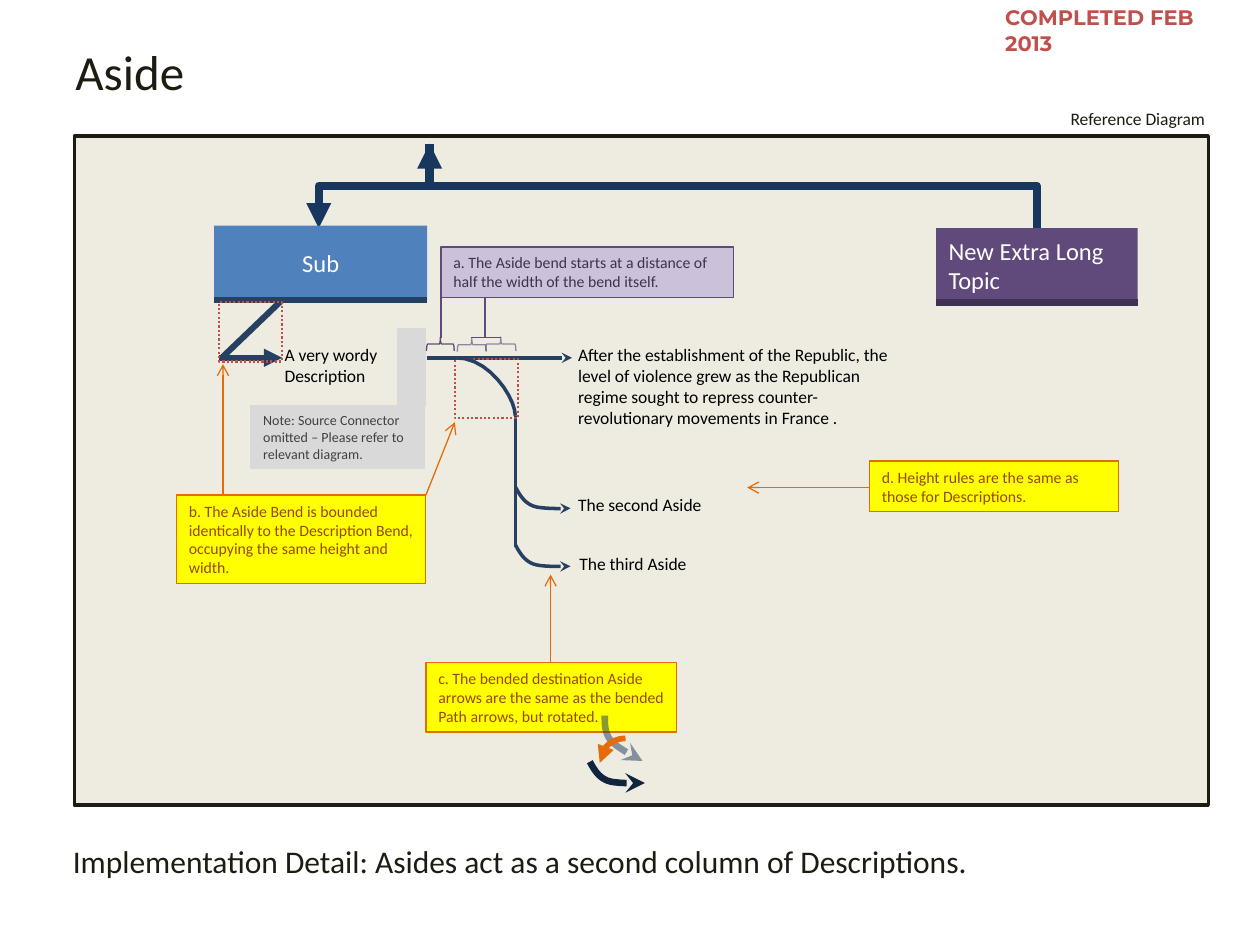
"""Build the Aside reference diagram on a grid of 100 columns by 75 rows."""
import pptx
import pptx.util
import pptx.dml.color
import pptx.enum.dml
import pptx.enum.shapes
import pptx.enum.text
import pptx.oxml.ns
import lxml.etree

Pt = pptx.util.Pt
Kind = pptx.enum.shapes.MSO_SHAPE
Link = pptx.enum.shapes.MSO_CONNECTOR
Align = pptx.enum.text.PP_ALIGN
Anchor = pptx.enum.text.MSO_ANCHOR
qn = pptx.oxml.ns.qn

HUES = {
    "ink": "1E1C11", "black": "000000", "white": "FFFFFF", "sand": "EEECE1",
    "navy": "17375E", "blue": "4F81BD", "deep": "254061", "night": "10243E",
    "plum": "604A7B", "dusk": "403152", "lilac": "CCC1DA", "red": "C0504D",
    "yellow": "FFFF00", "orange": "E46C0A", "brown": "984807",
    "grey": "D9D9D9", "slate": "404040",
}
COLS, ROWS = 100, 75
WIDE, HIGH = pptx.util.Inches(10), pptx.util.Inches(7.5)

FRAME = (5.9, 10.8, 90, 53.1)
LABELS = [
    ("Aside", (5, 3, 90.9, 5.3), 28, "ink", {"mid": True}),
    ("Reference Diagram", (80.9, 8.1, 15.7, 2.7), 10, "ink", {"align": Align.RIGHT}),
    ("A very wordy Description", (21.6, 26.8, 14.1, 4.6), 10, "black", {}),
    ("After the establishment of the Republic, the level of violence grew as the "
     "Republican regime sought to repress counter-revolutionary movements in France .",
     (44.9, 26.8, 26.7, 15.1), 10, "black", {}),
    ("The second Aside", (44.9, 38.7, 13.9, 3.3), 10, "black", {}),
    ("The third Aside", (45, 43.4, 13.9, 4.3), 10, "black", {}),
    ("Implementation Detail: Asides act as a second column of Descriptions.",
     (4.8, 66.3, 90, 4), 18, "ink", {}),
    ("COMPLETED FEB 2013", (78.8, -0.1, 19.6, 3), 12, "red",
     {"face": "Montserrat", "bold": True}),
]
TOPICS = [
    ("New Extra Long Topic", (74.3, 18.1, 16, 5.9), "plum", "dusk", Align.LEFT),
    ("Sub", (17, 17.9, 16.9, 5.9), "blue", "deep", Align.CENTER),
]
STYLES = {
    "rule": ("yellow", "orange", "brown", 9),
    "hint": ("lilac", "plum", "dusk", 9),
    "note": ("grey", "grey", "slate", 8),
}
NOTES = [
    ("b. The Aside Bend is bounded identically to the Description Bend, "
     "occupying the same height and width.", (14, 39.3, 19.8, 7), "rule"),
    ("a. The Aside bend starts at a distance of half the width of the bend itself.",
     (35, 19.6, 23.2, 4), "hint"),
    ("d. Height rules are the same as those for Descriptions.",
     (69, 36.6, 19.8, 4), "rule"),
    ("c. The bended destination Aside arrows are the same as the bended Path "
     "arrows, but rotated.", (33.8, 52.6, 19.9, 5.5), "rule"),
    ("Note: Source Connector omitted – Please refer to relevant diagram.",
     (19.9, 32.2, 13.8, 5), "note"),
]
POST = (31.6, 26.1, 2.2, 6.1)
BOUNDS = [(17.4, 24, 5, 4.7), (36.1, 28.5, 5, 4.7)]
BRACES = [((34.4, 26.2, 1.1, 2.2), None), ((36.9, 26.2, 1.1, 2.3), 63),
          ((39.2, 26.1, 1.1, 2.4), 63)]
ELBOWS = [((34.1, 11.4), (25.3, 18.1)), ((82.3, 18.1), (34.1, 11.4))]
LINES = [
    ("deep", 3.5, None, [(22.4, 23.8, 17.6, 28.4)]),
    ("deep", 3.5, "triangle", [(17.4, 28.4, 22.4, 28.4)]),
    ("orange", 0.75, "arrow", [(33.8, 39.3, 36.1, 33.5), (17.7, 39.3, 17.7, 28.9),
                               (69, 38.7, 59.3, 38.7), (43.7, 52.6, 43.7, 45.6)]),
    ("plum", 0.75, None, [(35, 26.8, 35, 23.6), (38.5, 26.8, 38.5, 23.6),
                          (39.8, 26.8, 37.4, 26.8)]),
    ("deep", 2, "stealth", [(40.6, 28.4, 45.4, 28.4)]),
    ("deep", 2, None, [(40.8, 28.4, 33.9, 28.4), (40.9, 33, 40.9, 43.4)]),
]
BEND = [(0, 0), (2.7, -0.1), (4.8, 3.2), (4.8, 4.6)]
HOOK = [(0, 0), (0, 0.7), (0, 1.4), (0.5, 2), (1, 2.6), (3, 3.6), (3, 3.6)]
TURN = 330.9
CURVES = [
    (BEND, (36.1, 28.4), 0, "deep", 2, None, None),
    (HOOK, (41.6, 37.7), TURN, "deep", 2, "stealth", None),
    (HOOK, (41.6, 42.3), TURN, "deep", 2, "stealth", None),
    (HOOK, (48, 56.8), 0, "deep", 3.75, "stealth", 52),
    (HOOK, (47.5, 59.5), TURN, "night", 3.75, "stealth", None),
]
SPIN = (47.6, 58.6, 4.1, 3.9)

deck = pptx.Presentation()
deck.slide_width, deck.slide_height = WIDE, HIGH
slide = deck.slides.add_slide(deck.slide_layouts[6])
items = slide.shapes


def hue(name):
    return pptx.dml.color.RGBColor.from_string(HUES[name])


def grid(vals):
    return [round(v * (HIGH / ROWS if i % 2 else WIDE / COLS)) for i, v in enumerate(vals)]


def pen(item, tint, width, tail=None, alpha=None):
    item.line.color.rgb = hue(tint)
    item.line.width = Pt(width)
    edge = item.element.spPr.find(qn("a:ln"))
    if alpha:
        tone = edge.find(".//" + qn("a:srgbClr"))
        lxml.etree.SubElement(tone, qn("a:alpha"), val=str(alpha * 1000))
    if tail:
        lxml.etree.SubElement(edge, qn("a:tailEnd"), type=tail)


def shape(kind, area, fill=None):
    item = items.add_shape(kind, *grid(area))
    item.shadow.inherit = False
    if fill:
        item.fill.solid()
        item.fill.fore_color.rgb = hue(fill)
    else:
        item.fill.background()
    return item


def write(item, words, size, tint, align=Align.LEFT, mid=False, face="Calibri", bold=False):
    box = item.text_frame
    box.word_wrap = True
    box.vertical_anchor = Anchor.MIDDLE if mid else Anchor.TOP
    para = box.paragraphs[0]
    para.text, para.alignment = words, align
    font = para.font
    font.name, font.size, font.bold = face, Pt(size), bold
    font.color.rgb = hue(tint)


def link(ends, tint, width, tail=None, kind=Link.STRAIGHT):
    item = items.add_connector(kind, *grid(ends))
    pen(item, tint, width, tail)
    lxml.etree.SubElement(item.element.spPr, qn("a:effectLst"))
    return item


def elbow(start, end):
    midx, midy = (start[0] + end[0]) / 2, (start[1] + end[1]) / 2
    ends = [v for x, y in (start, end) for v in (midx + y - midy, midy - x + midx)]
    item = link(ends, "navy", 4.75, "triangle", Link.ELBOW)
    item.element.spPr.find(qn("a:xfrm")).set("rot", str(90 * 60000))


def curve(knots, spot, turn, tint, width, tail, alpha, steps=10):
    dots = []
    for at in range(0, len(knots) - 1, 3):
        for step in range(1, steps + 1):
            t = step / steps
            mix = ((1 - t) ** 3, 3 * t * (1 - t) ** 2, 3 * t * t * (1 - t), t ** 3)
            dots.append(grid([spot[k] + sum(m * p[k] for m, p in zip(mix, knots[at:at + 4]))
                              for k in (0, 1)]))
    path = items.build_freeform(*grid(spot))
    path.add_line_segments(dots, close=False)
    item = path.convert_to_shape()
    item.shadow.inherit = False
    item.fill.background()
    item.rotation = turn
    pen(item, tint, width, tail, alpha)


pen(shape(Kind.RECTANGLE, FRAME, "sand"), "ink", 2)
for ends in ELBOWS:
    elbow(*ends)
for words, area, fill, base, align in TOPICS:
    item = shape(Kind.RECTANGLE, area, fill)
    item.line.fill.background()
    write(item, words, 14, "white", align, True)
    left, top, wide, high = area
    link((left, top + high, left + wide, top + high), base, 3.75)
pen(shape(Kind.RECTANGLE, POST, "grey"), "grey", 0.75)
for words, area, style in NOTES:
    fill, edge, tint, size = STYLES[style]
    item = shape(Kind.RECTANGLE, area, fill)
    pen(item, edge, 0)
    write(item, words, size, tint)
for words, area, size, tint, more in LABELS:
    write(items.add_textbox(*grid(area)), words, size, tint, **more)
for tint, width, tail, group in LINES:
    for ends in group:
        link(ends, tint, width, tail)
for area in BOUNDS:
    item = shape(Kind.RECTANGLE, area)
    pen(item, "red", 1.25)
    item.line.dash_style = pptx.enum.dml.MSO_LINE.ROUND_DOT
for area, alpha in BRACES:
    item = shape(Kind.RIGHT_BRACE, area)
    item.rotation = 270
    pen(item, "plum", 0.75, alpha=alpha)
for bend in CURVES:
    curve(*bend)
item = shape(Kind.ARC, SPIN)
item.element.spPr.find(qn("a:xfrm")).set("flipH", "1")
pen(item, "orange", 3.25, "triangle")
deck.save("out.pptx")
